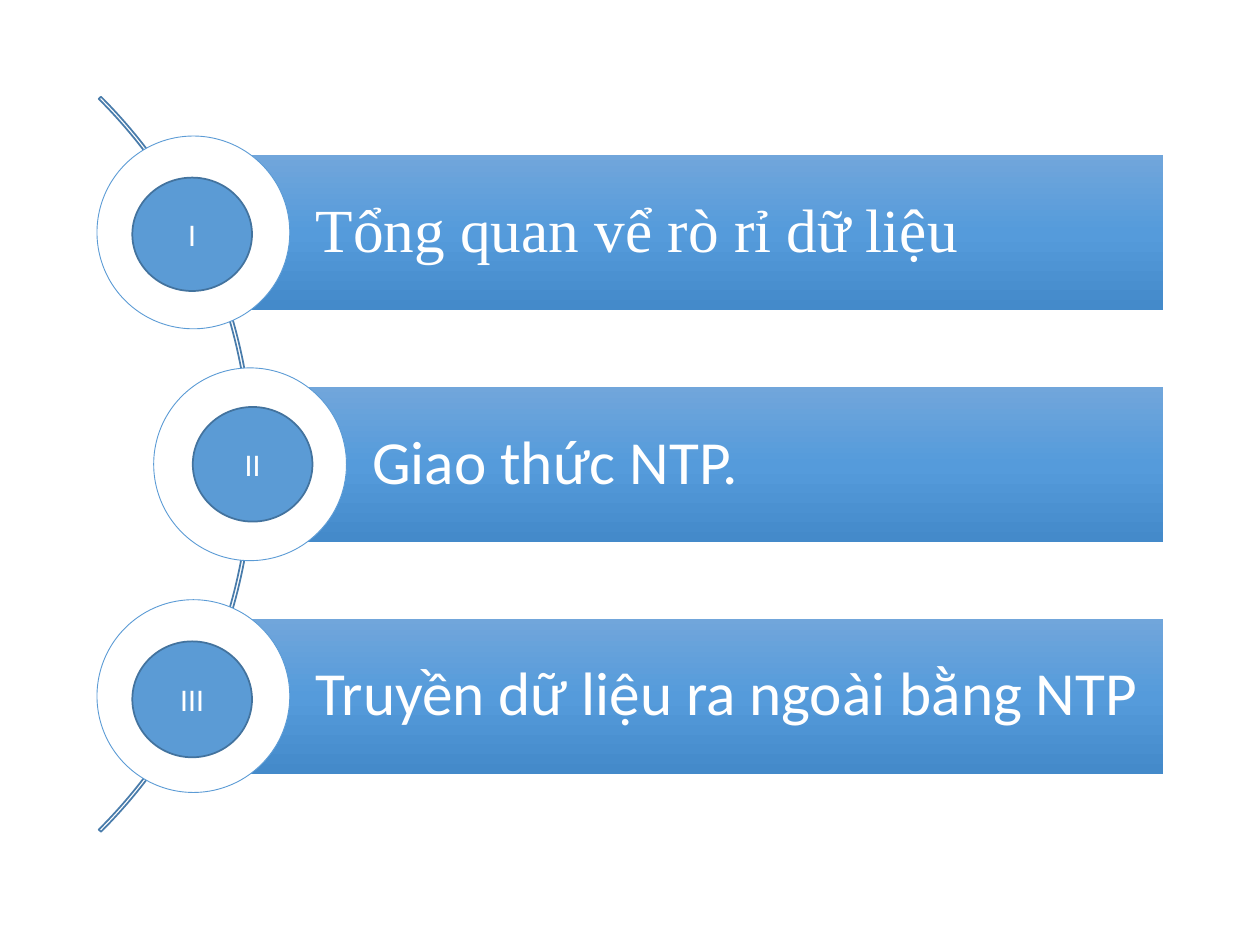
from copy import deepcopy

from pptx import Presentation
from pptx.dml.color import RGBColor
from pptx.enum.shapes import MSO_SHAPE
from pptx.enum.text import MSO_ANCHOR, PP_ALIGN
from pptx.oxml.ns import qn
from pptx.util import Inches, Pt

WHITE = RGBColor(0xFF, 0xFF, 0xFF)
BLUE = RGBColor(0x5B, 0x9B, 0xD5)
BADGE_EDGE = RGBColor(0x43, 0x73, 0x9E)
ARC_EDGE = RGBColor(0x49, 0x7C, 0xAB)
BAR_STOPS = [
    (0, RGBColor(0x71, 0xA6, 0xDB)),
    (0.5, RGBColor(0x55, 0x9B, 0xDB)),
    (1, RGBColor(0x44, 0x8A, 0xCA)),
]

BAR_HEIGHT = 1.23
RING_SIZE = 1.53
ROW_PITCH = 1.84
AGENDA_BOX = (0.77, 1.08, 8.46)  # left, top, width

# numeral, topic, font, indent, badge (offset x, offset y, height)
CHAPTERS = [
    ("I", "Tổng quan vể rò rỉ dữ liệu", "Times New Roman", 0, (0.28, 0.33, 0.9)),
    ("II", "Giao thức NTP.", "Calibri", 0.45, (0.31, 0.31, 0.91)),
    ("III", "Truyền dữ liệu ra ngoài bằng NTP", "Calibri", 0, (0.28, 0.33, 0.92)),
]


def add_outlined(slide, preset, box, fill, edge, weight):
    """Add a shape with a solid fill (or none) and an outline."""
    outlined = slide.shapes.add_shape(preset, *(Inches(v) for v in box))
    outlined.shadow.inherit = False
    if fill is None:
        outlined.fill.background()
    else:
        outlined.fill.solid()
        outlined.fill.fore_color.rgb = fill
    outlined.line.color.rgb = edge
    outlined.line.width = Pt(weight)
    return outlined


def write(shape, text, font, size, align):
    """Set one vertically centred white line of text in a shape."""
    frame = shape.text_frame
    frame.text = text
    frame.word_wrap = True
    frame.vertical_anchor = MSO_ANCHOR.MIDDLE
    paragraph = frame.paragraphs[0]
    paragraph.alignment = align
    run_font = paragraph.runs[0].font
    run_font.name, run_font.size = font, Pt(size)
    run_font.color.rgb = WHITE


def fill_bar(bar):
    """Give a bar its three-stop gradient from top to bottom."""
    bar.fill.gradient()
    bar.fill.gradient_angle = 270
    stop_list = bar.fill._xPr.find(qn("a:gradFill")).find(qn("a:gsLst"))
    stop_list.append(deepcopy(stop_list[-1]))
    for stop, (position, colour) in zip(bar.fill.gradient_stops, BAR_STOPS):
        stop.position = position
        stop.color.rgb = colour


def add_bar(slide, box, topic, font):
    """Add the gradient bar that carries a chapter's topic."""
    bar = slide.shapes.add_shape(MSO_SHAPE.RECTANGLE, *(Inches(v) for v in box))
    bar.shadow.inherit = False
    bar.line.fill.background()
    fill_bar(bar)
    write(bar, topic, font, 35, PP_ALIGN.LEFT)
    frame = bar.text_frame
    frame.margin_left = Inches(0.97)
    frame.margin_right = frame.margin_top = frame.margin_bottom = Inches(0.1)
    frame.paragraphs[0].line_spacing = 0.9


def add_chapter(slide, left, top, right, chapter):
    """Add one row: bar, ring and numbered badge."""
    numeral, topic, font, indent, (badge_x, badge_y, badge_height) = chapter
    left += indent
    bar_left = left + RING_SIZE / 2
    bar_top = top + (RING_SIZE - BAR_HEIGHT) / 2
    add_bar(slide, (bar_left, bar_top, right - bar_left, BAR_HEIGHT), topic, font)
    add_outlined(slide, MSO_SHAPE.OVAL, (left, top, RING_SIZE, RING_SIZE), WHITE, BLUE, 0.5)
    badge = add_outlined(
        slide, MSO_SHAPE.FLOWCHART_CONNECTOR,
        (left + badge_x, top + badge_y, 0.95, badge_height), BLUE, BADGE_EDGE, 1)
    write(badge, numeral, "Calibri", 18, PP_ALIGN.CENTER)


def add_agenda(slide, left, top, width):
    """Add the curved spine and the chapters along it."""
    spine = add_outlined(
        slide, MSO_SHAPE.BLOCK_ARC, (left - 7.01, top - 1.52, 8.25, 8.25),
        None, ARC_EDGE, 1)
    for index, value in enumerate((189, 27, 0.003)):
        spine.adjustments[index] = value
    for row, chapter in enumerate(CHAPTERS):
        add_chapter(slide, left, top + row * ROW_PITCH, left + width, chapter)


def main():
    """Build and save the agenda slide."""
    presentation = Presentation()
    presentation.slide_width, presentation.slide_height = Inches(10), Inches(7.5)
    slide = presentation.slides.add_slide(presentation.slide_layouts[6])
    add_agenda(slide, *AGENDA_BOX)
    presentation.save("out.pptx")


main()
